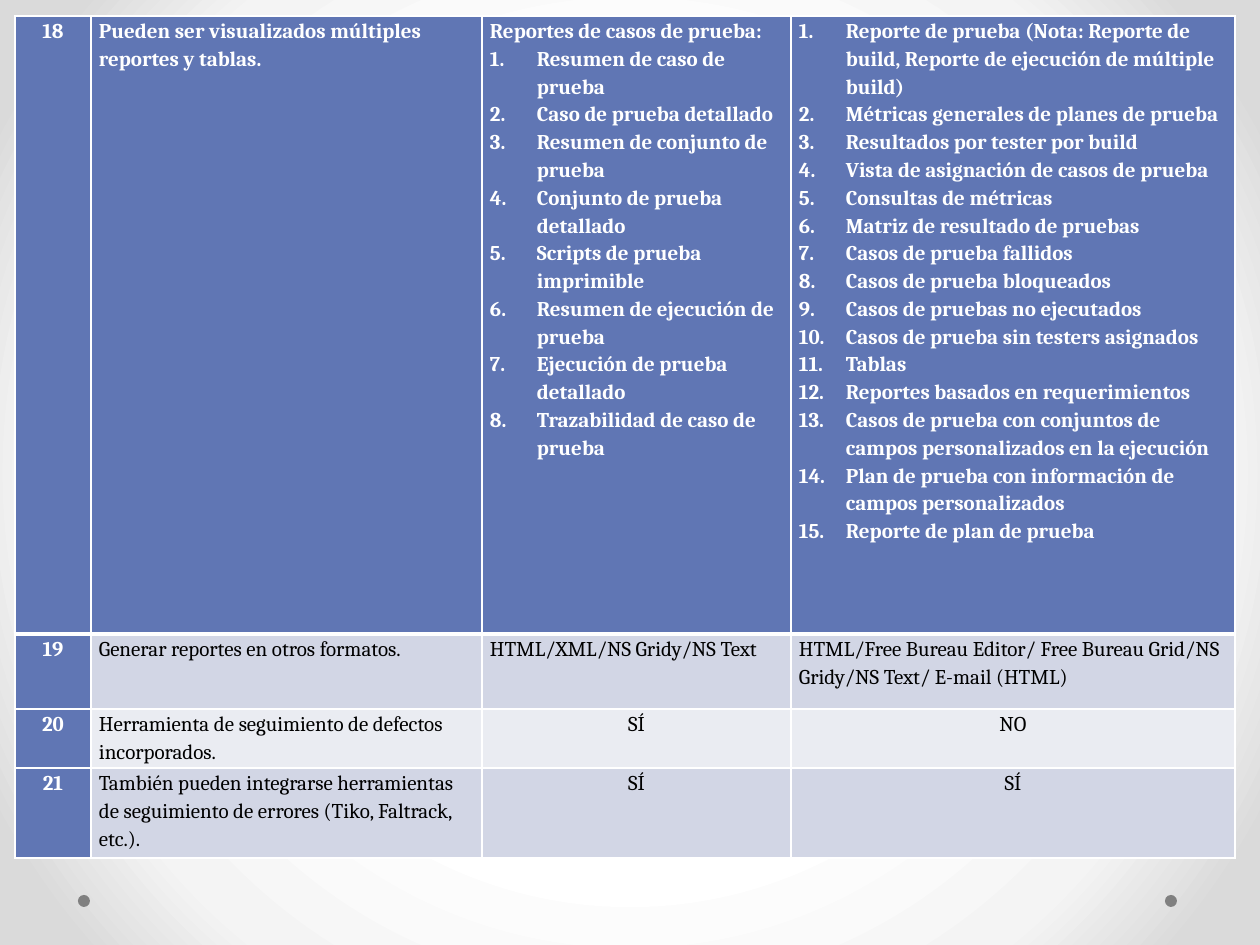
from lxml import etree
from pptx import Presentation
from pptx.dml.color import RGBColor
from pptx.enum.shapes import MSO_SHAPE
from pptx.enum.text import PP_ALIGN
from pptx.oxml import parse_xml
from pptx.oxml.ns import nsdecls, qn
from pptx.util import Emu, Pt

CENTER, LEFT = PP_ALIGN.CENTER, PP_ALIGN.LEFT
OVAL = MSO_SHAPE.OVAL
SCALE = 914400 / 126
FONT = "Cambria"
COLORS = {
    "white": "FFFFFF", "black": "000000", "blue": "6076B4",
    "dark": "D2D6E5", "light": "EAECF2", "dot": "808080",
}
STOPS = [(50, "FFFFFF"), (76, "F4F4F4"), (92, "DADADA")]
COLS = [76, 391, 309, 444]
ROWS = [618, 75, 59, 90]
FILLS = ["blue", "dark", "light", "dark"]

CASES = [
    "Resumen de caso de prueba",
    "Caso de prueba detallado",
    "Resumen de conjunto de prueba",
    "Conjunto de prueba detallado",
    "Scripts de prueba imprimible",
    "Resumen de ejecución de prueba",
    "Ejecución de prueba detallado",
    "Trazabilidad de caso de prueba",
]
REPORTS = [
    "Reporte de prueba (Nota: Reporte de build, Reporte de ejecución de múltiple build)",
    "Métricas generales de planes de prueba",
    "Resultados por tester por build",
    "Vista de asignación de casos de prueba",
    "Consultas de métricas",
    "Matriz de resultado de pruebas",
    "Casos de prueba fallidos",
    "Casos de prueba bloqueados",
    "Casos de pruebas no ejecutados",
    "Casos de prueba sin testers asignados",
    "Tablas",
    "Reportes basados en requerimientos",
    "Casos de prueba con conjuntos de campos personalizados en la ejecución",
    "Plan de prueba con información de campos personalizados",
    "Reporte de plan de prueba",
]
# Each cell holds plain lines, then numbered items.
CELLS = [
    [(["18"], []),
     (["Pueden ser visualizados múltiples reportes y tablas."], []),
     (["Reportes de casos de prueba:"], CASES),
     ([], REPORTS)],
    [(["19"], []),
     (["Generar reportes en otros formatos."], []),
     (["HTML/XML/NS Gridy/NS Text"], []),
     (["HTML/Free Bureau Editor/ Free Bureau Grid/NS Gridy/NS Text/ E-mail (HTML)"], [])],
    [(["20"], []),
     (["Herramienta de seguimiento de defectos incorporados."], []),
     (["SÍ"], []),
     (["NO"], [])],
    [(["21"], []),
     (["También pueden integrarse herramientas de seguimiento de errores "
       "(Tiko, Faltrack, etc.)."], []),
     (["SÍ"], []),
     (["SÍ"], [])],
]


def px(n):
    return Emu(round(n * SCALE))


def rgb(name):
    return RGBColor.from_string(COLORS[name])


def paint_back(slide):
    """Fill the background with a round gradient."""
    stops = "".join(
        f'<a:gs pos="{pos * 1000}"><a:srgbClr val="{color}"/></a:gs>'
        for pos, color in STOPS)
    back = parse_xml(
        f'<p:bg {nsdecls("p", "a")}><p:bgPr><a:gradFill rotWithShape="1">'
        f'<a:gsLst>{stops}</a:gsLst><a:path path="circle">'
        '<a:fillToRect l="50000" t="50000" r="50000" b="50000"/></a:path>'
        '</a:gradFill><a:effectLst/></p:bgPr></p:bg>')
    slide.element.cSld.insert(0, back)


def add_dot(slide, left, top):
    dot = slide.shapes.add_shape(OVAL, px(left), px(top), px(12), px(12))
    dot.shadow.inherit = False
    dot.fill.solid()
    dot.fill.fore_color.rgb = rgb("dot")
    dot.line.fill.background()


def set_edges(cell, row):
    """Draw white borders, thick between the first two rows."""
    props = cell._tc.get_or_add_tcPr()
    widths = {"L": 1, "R": 1, "T": 3 if row == 1 else 1,
              "B": 3 if row == 0 else 1}
    for spot, (side, width) in enumerate(widths.items()):
        props.insert(spot, parse_xml(
            f'<a:ln{side} {nsdecls("a")} w="{Pt(width)}"><a:solidFill>'
            f'<a:srgbClr val="{COLORS["white"]}"/></a:solidFill></a:ln{side}>'))


def add_number(para):
    props = para._p.get_or_add_pPr()
    props.set("marL", str(px(47)))
    props.set("indent", str(-px(47)))
    etree.SubElement(props, qn("a:buFont"), typeface="+mj-lt")
    etree.SubElement(props, qn("a:buAutoNum"), type="arabicPeriod")


def fill_text(frame, lines, items, align, head):
    for i, text in enumerate(lines + items):
        para = frame.paragraphs[0] if i == 0 else frame.add_paragraph()
        para.alignment = align
        para.line_spacing = 1.15
        if i >= len(lines):
            add_number(para)
        run = para.add_run()
        run.text = text
        run.font.name = FONT
        run.font.size = Pt(12)
        run.font.bold = head
        run.font.color.rgb = rgb("white" if head else "black")


def fill_cell(cell, row, col, lines, items):
    head = row == 0 or col == 0
    cell.margin_left = cell.margin_right = px(8)
    cell.margin_top = cell.margin_bottom = 0
    cell.fill.solid()
    cell.fill.fore_color.rgb = rgb("blue" if head else FILLS[row])
    set_edges(cell, row)
    align = CENTER if col == 0 or (row > 1 and col > 1) else LEFT
    fill_text(cell.text_frame, lines, items, align, head)


def add_grid(slide):
    table = slide.shapes.add_table(
        len(ROWS), len(COLS), px(15), px(16), px(sum(COLS)), px(sum(ROWS))).table
    for col, width in zip(table.columns, COLS):
        col.width = px(width)
    for row, height in zip(table.rows, ROWS):
        row.height = px(height)
    for r, cells in enumerate(CELLS):
        for c, (lines, items) in enumerate(cells):
            fill_cell(table.cell(r, c), r, c, lines, items)


def main():
    deck = Presentation()
    deck.slide_width, deck.slide_height = px(1260), px(945)
    slide = deck.slides.add_slide(deck.slide_layouts[6])
    paint_back(slide)
    for left in (1165, 78):
        add_dot(slide, left, 895)
    add_grid(slide)
    deck.save("out.pptx")


if __name__ == "__main__":
    main()
